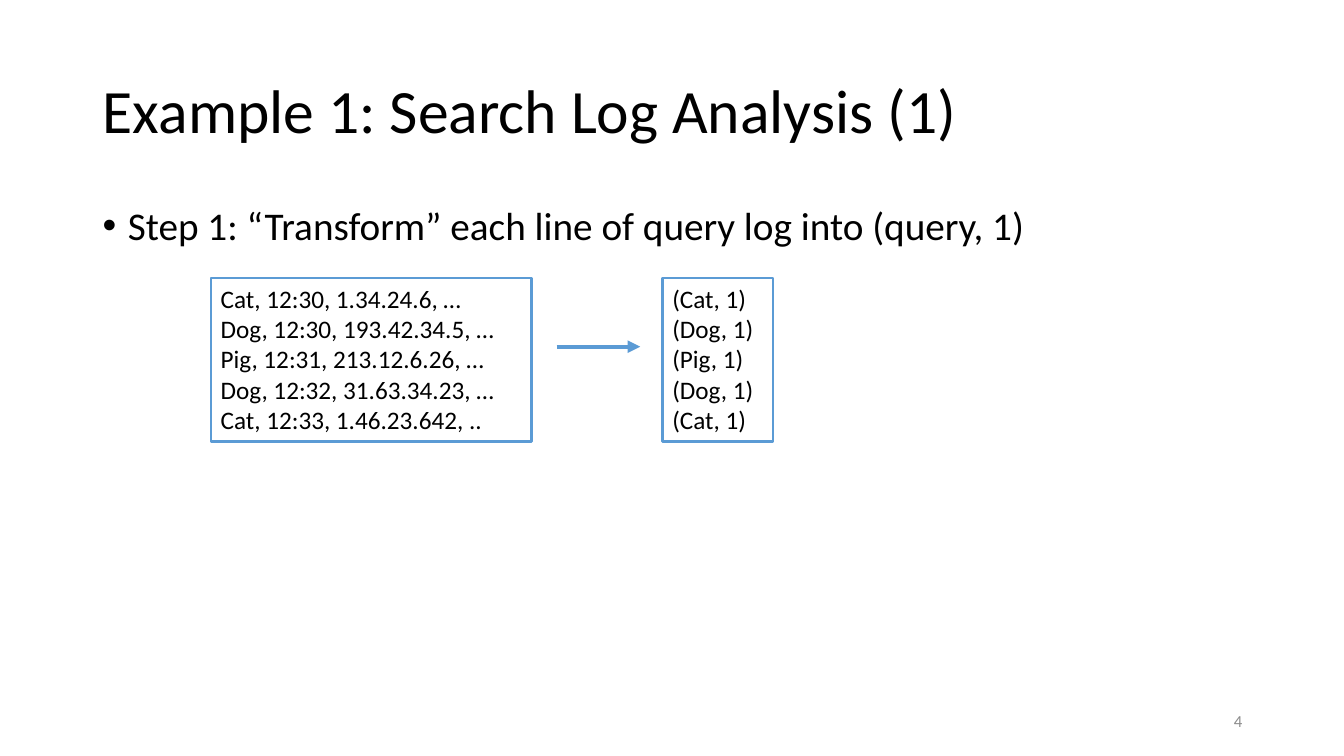
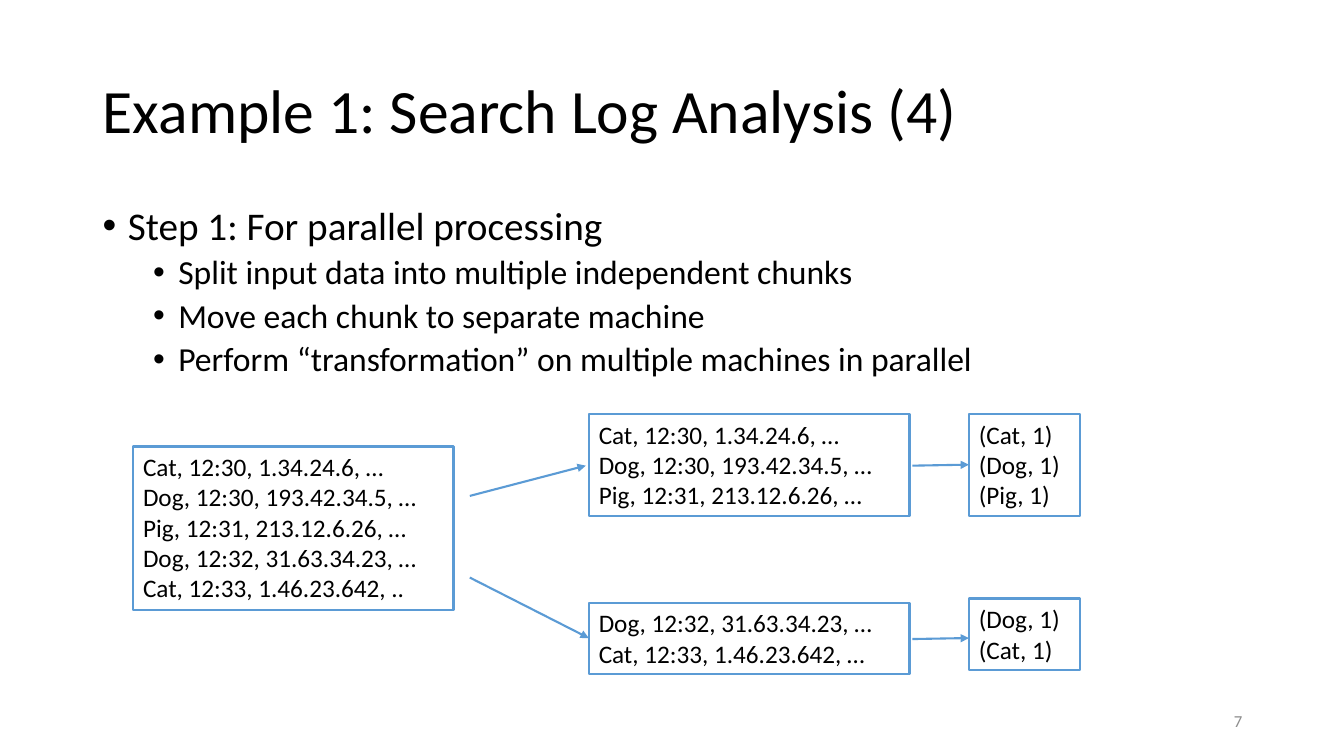
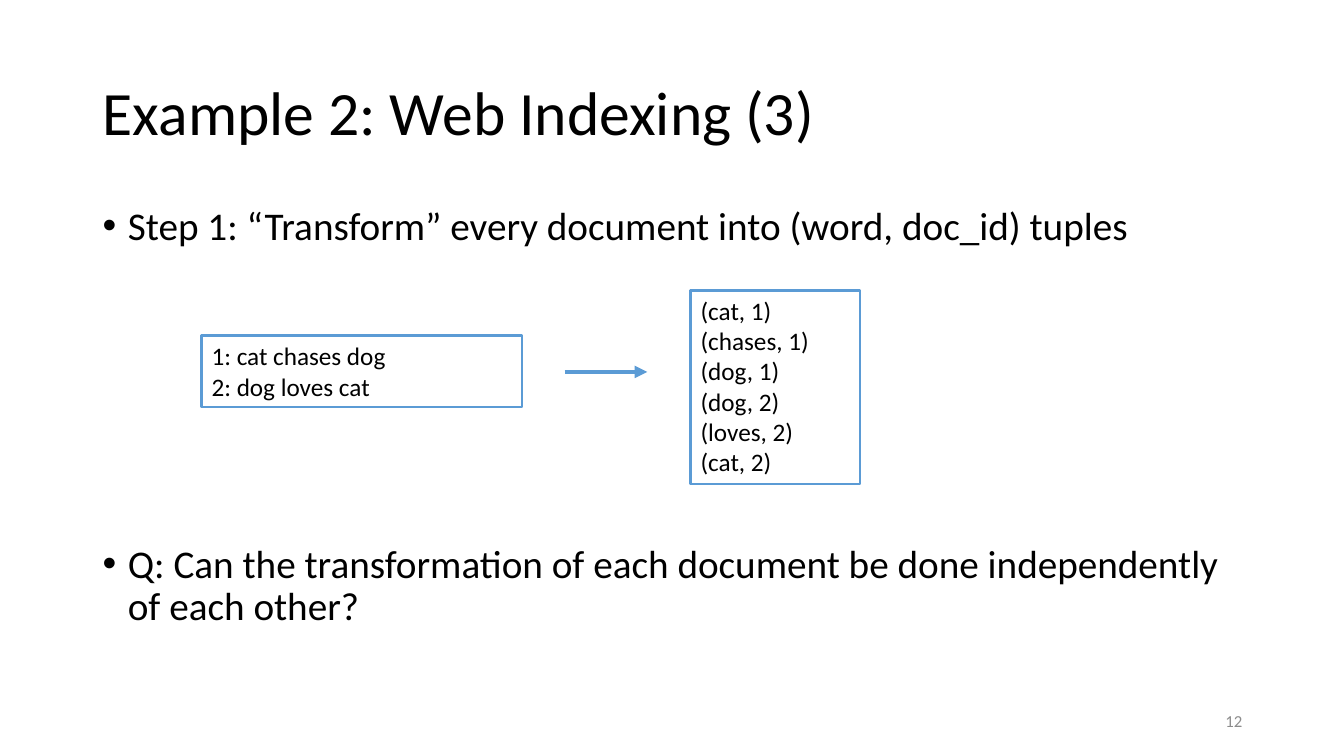
from pptx import Presentation
from pptx.dml.color import RGBColor
from pptx.enum.shapes import MSO_CONNECTOR
from pptx.enum.text import MSO_ANCHOR, MSO_AUTO_SIZE, PP_ALIGN
from pptx.oxml.ns import qn
from pptx.util import Inches, Pt
from lxml import etree

LEFT, RIGHT = PP_ALIGN.LEFT, PP_ALIGN.RIGHT
TOP, MIDDLE = MSO_ANCHOR.TOP, MSO_ANCHOR.MIDDLE
GROW = MSO_AUTO_SIZE.SHAPE_TO_FIT_TEXT
FIXED = MSO_AUTO_SIZE.NONE
STRAIGHT = MSO_CONNECTOR.STRAIGHT

BLACK = RGBColor(0x00, 0x00, 0x00)
GRAY = RGBColor(0x8C, 0x8C, 0x8C)
BLUE = RGBColor(0x5B, 0x9B, 0xD5)
FACE = "Calibri"

TITLE = {"size": Pt(44), "color": BLACK}
NUMBER = {"size": Pt(12), "color": GRAY}
CODE = {"size": Pt(18), "color": BLACK}
# Per bullet level: font, left margin and space before
LEVELS = [
    ({"size": Pt(28), "color": BLACK}, 0.25, 10),
    ({"size": Pt(24), "color": BLACK}, 0.75, 5),
]
HANG = 0.25
LOG_W, PAIR_W = 3.18, 1.1

LOG = [
    "Cat, 12:30, 1.34.24.6, …",
    "Dog, 12:30, 193.42.34.5, …",
    "Pig, 12:31, 213.12.6.26, …",
    "Dog, 12:32, 31.63.34.23, …",
    "Cat, 12:33, 1.46.23.642, ..",
]
PAIRS = [f"({line.split(',')[0]}, 1)" for line in LOG]
DOCS = ["1: cat chases dog", "2: dog loves cat"]
WORDS = ["(cat, 1)", "(chases, 1)", "(dog, 1)",
         "(dog, 2)", "(loves, 2)", "(cat, 2)"]


def apply(item, values):
    """Set each attribute of item from a dict."""
    for name, value in values.items():
        setattr(item, name, value)


def write(para, text, font, align=LEFT):
    """Put one run of text into a paragraph."""
    para.alignment = align
    run = para.add_run()
    run.text = text
    apply(run.font, {"name": FACE, "size": font["size"]})
    run.font.color.rgb = font["color"]


def place(shape, left, top, width, height):
    """Move and size a shape, in inches."""
    apply(shape, {"left": Inches(left), "top": Inches(top),
                  "width": Inches(width), "height": Inches(height)})


def add_text(slide, left, top, width, height, anchor=TOP, fit=FIXED):
    """Add an empty wrapping text box."""
    box = slide.shapes.add_textbox(0, 0, 0, 0)
    apply(box.text_frame, {"word_wrap": True, "auto_size": fit,
                           "vertical_anchor": anchor})
    place(box, left, top, width, height)
    return box


def get_para(frame, index):
    """Return the first paragraph or add a new one."""
    return frame.add_paragraph() if index else frame.paragraphs[0]


def add_slide(deck, title, number, top=0.4):
    """Add a slide with its title and page number."""
    slide = deck.slides.add_slide(deck.slide_layouts[5])
    head = slide.shapes.title
    place(head, 0.92, top, 11.5, 1.45)
    apply(head.text_frame, {"vertical_anchor": MIDDLE, "word_wrap": True})
    para = head.text_frame.paragraphs[0]
    para.line_spacing = 0.9
    write(para, title, TITLE)
    foot = add_text(slide, 9.42, 6.95, 3, 0.4, MIDDLE)
    write(foot.text_frame.paragraphs[0], str(number), NUMBER, RIGHT)
    return slide


def add_body(slide, items):
    """Add bullets from (level, text) or (level, text, space before)."""
    frame = add_text(slide, 0.92, 2, 11.5, 4.76).text_frame
    for index, (level, text, *gap) in enumerate(items):
        font, margin, before = LEVELS[level]
        para = get_para(frame, index)
        write(para, text, font)
        props = para._p.get_or_add_pPr()
        props.set("marL", str(Inches(margin)))
        props.set("indent", str(-Inches(HANG)))
        etree.SubElement(props, qn("a:buFont")).set("typeface", "Arial")
        etree.SubElement(props, qn("a:buChar")).set("char", "•")
        apply(para, {"level": level, "line_spacing": 0.9,
                     "space_before": Pt(gap[0] if gap else before)})


def add_box(slide, left, top, width, lines):
    """Add an outlined box that is as tall as its lines."""
    height = 0.1 + 0.304 * len(lines)
    box = add_text(slide, left, top, width, height, fit=GROW)
    box.line.color.rgb = BLUE
    box.line.width = Pt(1.75)
    for index, line in enumerate(lines):
        write(get_para(box.text_frame, index), line, CODE)


def add_arrow(slide, start, end, weight=1.5):
    """Add an arrow between two points."""
    ends = [Inches(value) for value in (*start, *end)]
    arrow = slide.shapes.add_connector(STRAIGHT, *ends)
    arrow.line.color.rgb = BLUE
    arrow.line.width = Pt(weight)
    props = arrow._element.spPr
    line = props.find(qn("a:ln"))
    etree.SubElement(line, qn("a:tailEnd")).set("type", "triangle")
    etree.SubElement(props, qn("a:effectLst"))


def add_step(deck):
    """Slide: each log line becomes a pair."""
    slide = add_slide(deck, "Example 1: Search Log Analysis (1)", 4)
    add_body(slide, [
        (0, "Step 1: “Transform” each line of query log into (query, 1)")])
    add_box(slide, 2.09, 2.76, LOG_W, LOG)
    add_box(slide, 6.57, 2.76, PAIR_W, PAIRS)
    add_arrow(slide, (5.52, 3.44), (6.35, 3.44), 3)


def add_split(deck):
    """Slide: the log is split into chunks."""
    slide = add_slide(deck, "Example 1: Search Log Analysis (4)", 7)
    add_body(slide, [
        (0, "Step 1: For parallel processing"),
        (1, "Split input data into multiple independent chunks"),
        (1, "Move each chunk to separate machine"),
        (1, "Perform “transformation” on multiple machines in parallel"),
    ])
    add_box(slide, 1.32, 4.43, LOG_W, LOG)
    last = LOG[4].replace("..", "…")
    chunks = [
        (LOG[:3], PAIRS[:3], 4.11, 4.11, (4.66, 4.92), (5.81, 4.62), 4.61),
        ([LOG[3], last], PAIRS[3:], 5.98, 5.94, (4.66, 5.73), (5.84, 6.33),
         6.33),
    ]
    for lines, pairs, log_top, pair_top, start, end, mid in chunks:
        add_box(slide, 5.84, log_top, LOG_W, lines)
        add_box(slide, 9.61, pair_top, PAIR_W, pairs)
        add_arrow(slide, start, end)
        add_arrow(slide, (9.05, mid + 0.01), (9.61, mid))


def add_index(deck):
    """Slide: documents become word tuples."""
    slide = add_slide(deck, "Example 2: Web Indexing (3)", 12, top=0.42)
    add_body(slide, [
        (0, "Step 1: “Transform” every document into (word, doc_id) tuples"),
        (0, "Q: Can the transformation of each document be done "
            "independently of each other?", 211),
    ])
    add_box(slide, 2, 3.33, LOG_W, DOCS)
    add_box(slide, 6.85, 2.88, 1.68, WORDS)
    add_arrow(slide, (5.6, 3.69), (6.42, 3.69), 3)


def main():
    """Build and save the deck."""
    deck = Presentation()
    apply(deck, {"slide_width": Inches(13.33), "slide_height": Inches(7.5)})
    for build in (add_step, add_split, add_index):
        build(deck)
    deck.save("out.pptx")


main()
